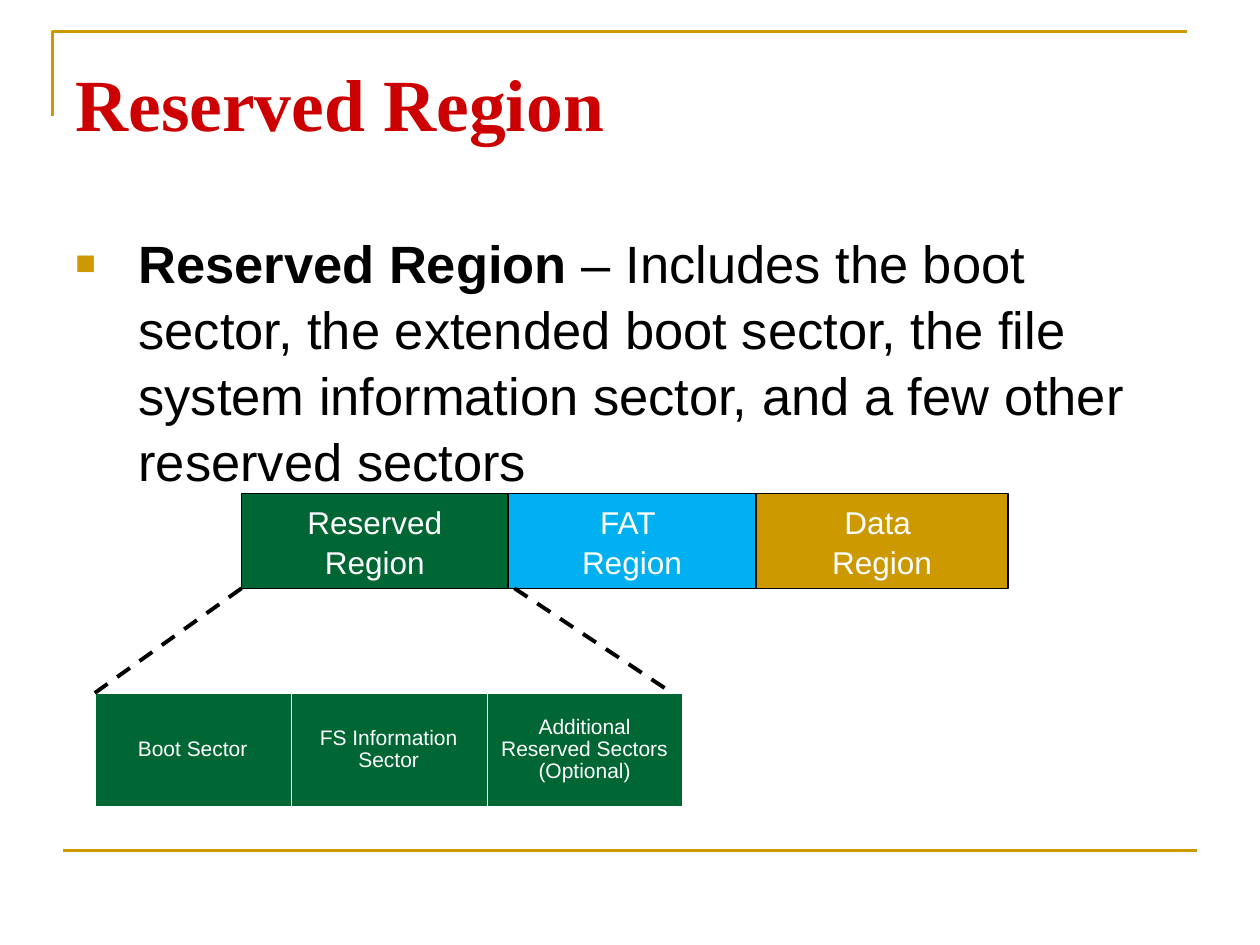
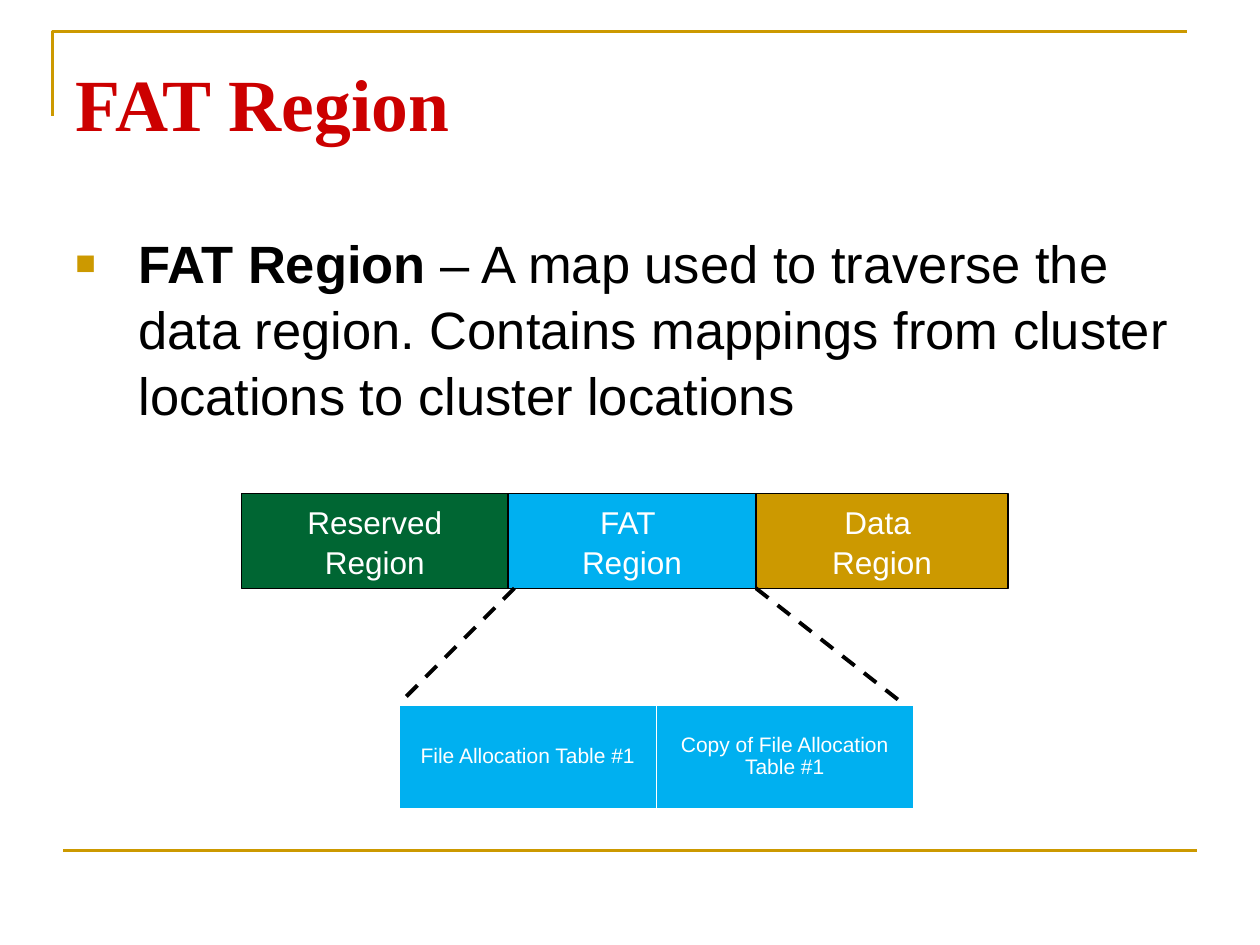
from dataclasses import dataclass

from lxml import etree
from pptx import Presentation
from pptx.dml.color import RGBColor
from pptx.enum.dml import MSO_LINE
from pptx.enum.shapes import MSO_CONNECTOR, MSO_SHAPE
from pptx.enum.text import MSO_ANCHOR, MSO_AUTO_SIZE, PP_ALIGN
from pptx.oxml.ns import qn
from pptx.slide import Slide
from pptx.util import Cm, Length, Pt

GOLD = RGBColor(0xCC, 0x99, 0x00)
RED = RGBColor(0xCC, 0x00, 0x00)
GREEN = RGBColor(0x00, 0x66, 0x33)
BLUE = RGBColor(0x00, 0xB0, 0xF0)
BLACK = RGBColor(0x00, 0x00, 0x00)
WHITE = RGBColor(0xFF, 0xFF, 0xFF)

TITLE_FONT = "Times New Roman"
BODY_FONT = "Arial"
LINE_SPACING = 1.05
CELL_LINE_SPACING = 0.93

STRAIGHT = MSO_CONNECTOR.STRAIGHT
RECTANGLE = MSO_SHAPE.RECTANGLE
DASH = MSO_LINE.DASH
CENTER = PP_ALIGN.CENTER
LEFT = PP_ALIGN.LEFT
MIDDLE = MSO_ANCHOR.MIDDLE
TOP = MSO_ANCHOR.TOP
NO_AUTOFIT = MSO_AUTO_SIZE.NONE

REGION_TOP = Cm(9.95)
REGION_HEIGHT = Cm(1.91)
REGION_BOTTOM = REGION_TOP + REGION_HEIGHT


@dataclass(frozen=True)
class Region:
    label: str
    left: Length
    width: Length
    color: RGBColor


@dataclass(frozen=True)
class ZoomLine:
    start_x: Length
    end_x: Length
    end_y: Length


@dataclass(frozen=True)
class Sectors:
    labels: tuple[str, ...]
    left: Length
    top: Length
    column_width: Length
    height: Length
    color: RGBColor


@dataclass(frozen=True)
class RegionSlide:
    title: str
    description: str
    sectors: Sectors
    zoom_lines: tuple[ZoomLine, ...]


REGIONS = (
    Region("Reserved\nRegion", Cm(4.87), Cm(5.37), GREEN),
    Region("FAT \nRegion", Cm(10.24), Cm(5.0), BLUE),
    Region("Data \nRegion", Cm(15.24), Cm(5.08), GOLD),
)

REGION_SLIDES = (
    RegionSlide(
        "Reserved Region",
        "– Includes the boot sector, the extended boot sector, the file system "
        "information sector, and a few other reserved sectors",
        Sectors(
            ("Boot Sector", "FS Information Sector", "Additional Reserved Sectors (Optional)"),
            Cm(1.91), Cm(13.98), Cm(3.95), Cm(2.27), GREEN,
        ),
        (
            ZoomLine(Cm(4.87), Cm(1.91), Cm(13.97)),
            ZoomLine(Cm(10.37), Cm(13.55), Cm(13.97)),
        ),
    ),
    RegionSlide(
        "FAT Region",
        "– A map used to traverse the data region. Contains mappings from "
        "cluster locations to cluster locations",
        Sectors(
            ("File Allocation Table #1", "Copy of File Allocation Table #1"),
            Cm(8.05), Cm(14.21), Cm(5.18), Cm(2.08), BLUE,
        ),
        (
            ZoomLine(Cm(10.37), Cm(8.05), Cm(14.18)),
            ZoomLine(Cm(15.24), Cm(18.2), Cm(14.18)),
        ),
    ),
)


def style_font(font, name: str, size: float, color: RGBColor, bold: bool = False) -> None:
    font.name = name
    font.size = Pt(size)
    font.color.rgb = color
    font.bold = bold


def add_line(slide: Slide, start: tuple, end: tuple, color: RGBColor,
             width: float, dashed: bool = False) -> None:
    connector = slide.shapes.add_connector(STRAIGHT, *start, *end)
    connector.line.color.rgb = color
    connector.line.width = Pt(width)
    if dashed:
        connector.line.dash_style = DASH
    etree.SubElement(connector._element.spPr, qn("a:effectLst"))


def add_frame(slide: Slide) -> None:
    left, top = Cm(1.06), Cm(0.64)
    builder = slide.shapes.build_freeform(left, Cm(2.33))
    builder.add_line_segments([(left, top), (Cm(23.92), top)], close=False)
    corner = builder.convert_to_shape()
    corner.shadow.inherit = False
    corner.fill.background()
    corner.line.color.rgb = GOLD
    corner.line.width = Pt(1.5)
    footer_y = Cm(17.15)
    add_line(slide, (Cm(1.27), footer_y), (Cm(24.13), footer_y), GOLD, 1.5)


def set_title(slide: Slide, title: str) -> None:
    heading = slide.shapes.title
    heading.left, heading.top = Cm(1.27), Cm(0.71)
    heading.width, heading.height = Cm(22.86), Cm(3.28)
    frame = heading.text_frame
    frame.text = title
    frame.auto_size = NO_AUTOFIT
    frame.vertical_anchor = TOP
    frame.margin_top = Cm(0.45)
    paragraph = frame.paragraphs[0]
    paragraph.alignment = LEFT
    style_font(paragraph.runs[0].font, TITLE_FONT, 42, RED, bold=True)


def add_bullet(paragraph) -> None:
    properties = paragraph._p.get_or_add_pPr()
    indent = Cm(1.27)
    properties.set("marL", str(indent))
    properties.set("indent", str(-indent))
    bullet_color = etree.SubElement(properties, qn("a:buClr"))
    etree.SubElement(bullet_color, qn("a:srgbClr"), val=str(GOLD))
    etree.SubElement(properties, qn("a:buSzPct"), val="65000")
    etree.SubElement(properties, qn("a:buFont"), typeface=BODY_FONT)
    etree.SubElement(properties, qn("a:buChar"), char="■")


def add_description(slide: Slide, term: str, description: str) -> None:
    body = slide.shapes.add_textbox(Cm(1.27), Cm(4.47), Cm(22.86), Cm(12.57))
    frame = body.text_frame
    frame.word_wrap = True
    paragraph = frame.paragraphs[0]
    paragraph.line_spacing = LINE_SPACING
    paragraph.space_before = Pt(7.5)
    add_bullet(paragraph)
    for text, bold in ((f"{term} ", True), (description, False)):
        run = paragraph.add_run()
        run.text = text
        style_font(run.font, BODY_FONT, 30, BLACK, bold)


def add_region(slide: Slide, region: Region) -> None:
    block = slide.shapes.add_shape(
        RECTANGLE, region.left, REGION_TOP, region.width, REGION_HEIGHT)
    block.shadow.inherit = False
    block.fill.solid()
    block.fill.fore_color.rgb = region.color
    block.line.color.rgb = BLACK
    block.line.width = Pt(0.75)
    frame = block.text_frame
    frame.text = region.label
    frame.word_wrap = False
    frame.vertical_anchor = MIDDLE
    for paragraph in frame.paragraphs:
        paragraph.alignment = CENTER
        paragraph.line_spacing = LINE_SPACING
        style_font(paragraph.runs[0].font, BODY_FONT, 18, WHITE)


def add_cell_borders(cell) -> None:
    properties = cell._tc.get_or_add_tcPr()
    for position, side in enumerate(("lnL", "lnR", "lnT", "lnB")):
        border = etree.Element(qn(f"a:{side}"), w=str(Pt(0.06)))
        fill = etree.SubElement(border, qn("a:solidFill"))
        etree.SubElement(fill, qn("a:srgbClr"), val=str(WHITE))
        properties.insert(position, border)


def add_sectors(slide: Slide, sectors: Sectors) -> None:
    count = len(sectors.labels)
    table = slide.shapes.add_table(
        1, count, sectors.left, sectors.top,
        sectors.column_width * count, sectors.height).table
    table.first_row = False
    table.horz_banding = False
    for column, label in enumerate(sectors.labels):
        table.columns[column].width = sectors.column_width
        cell = table.cell(0, column)
        cell.text_frame.text = label
        cell.vertical_anchor = MIDDLE
        cell.margin_left = cell.margin_right = Cm(0.18)
        cell.fill.solid()
        cell.fill.fore_color.rgb = sectors.color
        add_cell_borders(cell)
        paragraph = cell.text_frame.paragraphs[0]
        paragraph.alignment = CENTER
        paragraph.line_spacing = CELL_LINE_SPACING
        style_font(paragraph.runs[0].font, BODY_FONT, 12, WHITE)


def build_slide(presentation, content: RegionSlide) -> None:
    slide = presentation.slides.add_slide(presentation.slide_layouts[5])
    add_frame(slide)
    set_title(slide, content.title)
    add_description(slide, content.title, content.description)
    for region in REGIONS:
        add_region(slide, region)
    add_sectors(slide, content.sectors)
    for zoom in content.zoom_lines:
        add_line(slide, (zoom.start_x, REGION_BOTTOM), (zoom.end_x, zoom.end_y),
                 BLACK, 2.25, dashed=True)


def main() -> None:
    presentation = Presentation()
    presentation.slide_width = Cm(25.4)
    presentation.slide_height = Cm(19.05)
    for content in REGION_SLIDES:
        build_slide(presentation, content)
    presentation.save("out.pptx")


if __name__ == "__main__":
    main()
